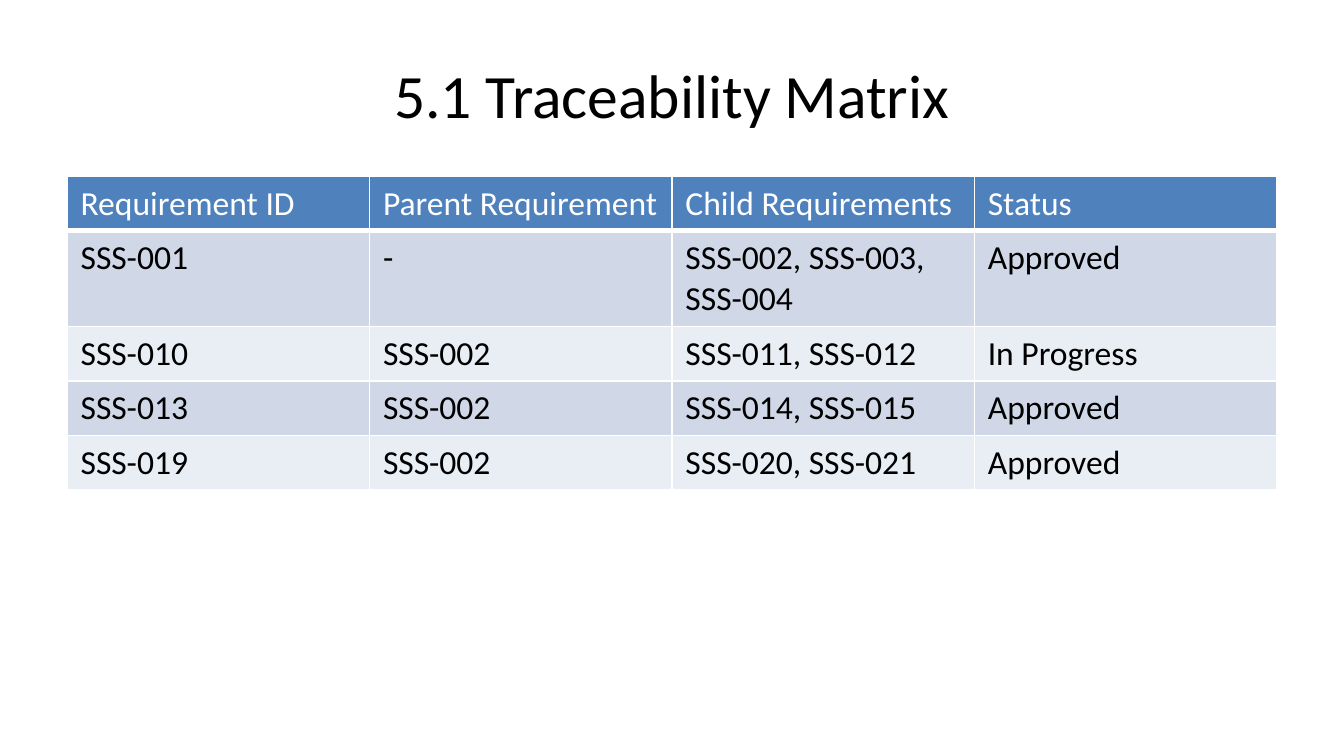
"""Build the traceability matrix slide."""
from lxml import etree
from pptx import Presentation
from pptx.dml.color import RGBColor
from pptx.enum import text
from pptx.oxml import ns
from pptx.util import Pt

TITLE = "5.1 Traceability Matrix"
ROWS = [
    ("Requirement ID", "Parent Requirement", "Child Requirements", "Status"),
    ("SSS-001", "-", "SSS-002, SSS-003, SSS-004", "Approved"),
    ("SSS-010", "SSS-002", "SSS-011, SSS-012", "In Progress"),
    ("SSS-013", "SSS-002", "SSS-014, SSS-015", "Approved"),
    ("SSS-019", "SSS-002", "SSS-020, SSS-021", "Approved"),
]

FONT = "Calibri"
BLACK = RGBColor(0x00, 0x00, 0x00)
WHITE = RGBColor(0xFF, 0xFF, 0xFF)
HEADER = RGBColor(0x4F, 0x81, 0xBD)
BANDS = [RGBColor(0xD0, 0xD8, 0xE8), RGBColor(0xE9, 0xED, 0xF4)]

LEFT, WIDTH = 36, 648
TITLE_TOP, TITLE_HEIGHT = 16.5, 67.5
TABLE_TOP, TABLE_HEIGHT = 94.5, 267


def style_run(r, size, color):
    r.font.name = FONT
    r.font.size = Pt(size)
    r.font.bold = False
    r.font.color.rgb = color


def set_borders(cell, bottom):
    tc_pr = cell._tc.get_or_add_tcPr()
    for side, width in (("L", 1), ("R", 1), ("T", 1), ("B", bottom)):
        ln = etree.SubElement(tc_pr, ns.qn(f"a:ln{side}"), w=str(Pt(width)))
        fill = etree.SubElement(ln, ns.qn("a:solidFill"))
        etree.SubElement(fill, ns.qn("a:srgbClr"), val=str(WHITE))


def add_title(s):
    sp = s.shapes.title
    sp.left, sp.top = Pt(LEFT), Pt(TITLE_TOP)
    sp.width, sp.height = Pt(WIDTH), Pt(TITLE_HEIGHT)
    tf = sp.text_frame
    tf.text = TITLE
    tf.vertical_anchor = text.MSO_ANCHOR.MIDDLE
    p = tf.paragraphs[0]
    p.alignment = text.PP_ALIGN.CENTER
    style_run(p.runs[0], 33, BLACK)


def add_matrix(s):
    frame = s.shapes.add_table(len(ROWS), len(ROWS[0]), Pt(LEFT), Pt(TABLE_TOP),
                               Pt(WIDTH), Pt(TABLE_HEIGHT))
    table = frame.table
    for i, values in enumerate(ROWS):
        table.rows[i].height = Pt(0)
        is_header = i == 0
        for cell, value in zip(table.rows[i].cells, values):
            set_borders(cell, 3 if is_header else 1)
            cell.fill.solid()
            cell.fill.fore_color.rgb = HEADER if is_header else BANDS[(i - 1) % 2]
            cell.text_frame.text = value
            style_run(cell.text_frame.paragraphs[0].runs[0], 18,
                      WHITE if is_header else BLACK)
    frame.height = Pt(TABLE_HEIGHT)


def main():
    prs = Presentation()
    prs.slide_width, prs.slide_height = Pt(720), Pt(405)
    s = prs.slides.add_slide(prs.slide_layouts[5])
    add_title(s)
    add_matrix(s)
    prs.save("out.pptx")


if __name__ == "__main__":
    main()
